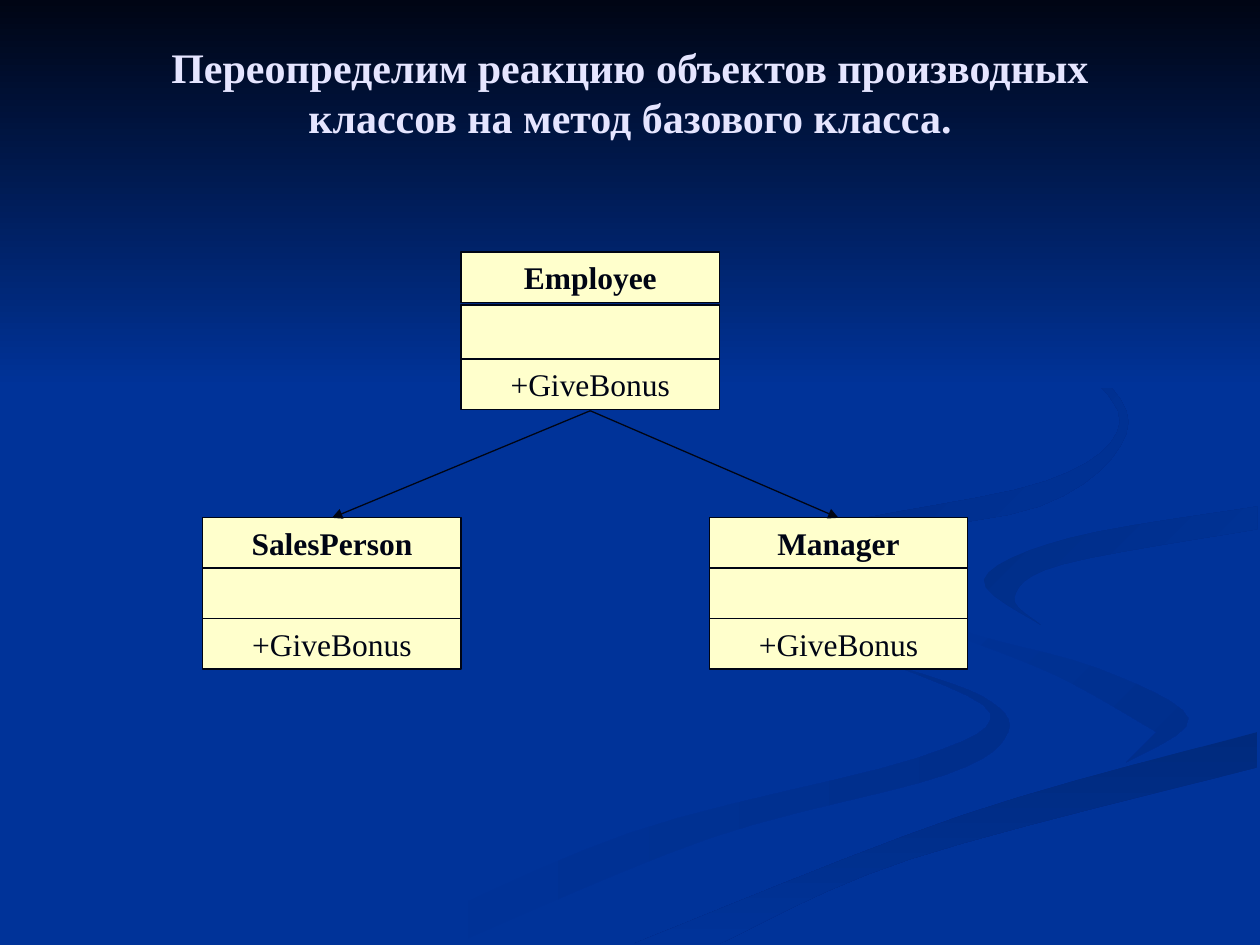
from lxml import etree
from pptx import Presentation
from pptx.dml.color import RGBColor
from pptx.enum.shapes import MSO_CONNECTOR as Conn, MSO_SHAPE as Shape
from pptx.enum.text import MSO_ANCHOR as Anchor, MSO_AUTO_SIZE as AutoSize, PP_ALIGN as Align
from pptx.oxml.ns import qn
from pptx.util import Inches, Pt

FONT = "Times New Roman"
BLUE, INK, CREAM, LILAC = "003399", "000514", "FFFFCC", "E5E5FF"
BOX_W, ROW_H, ATTR_H = 2.05, 0.4, 0.44
CURVE_STEPS = 6

RIBBONS = [
    ([(7.1, 5.28), (7.8, 5.53), (8, 5.81), (7.5, 6.15), (5.64, 6.65), (3.61, 7.49)],
     [(3, 7.49), (5, 6.61), (7.27, 6.02), (7.86, 5.66), (7.1, 5.28)],
     (BLUE, "002E8B", 0)),
    ([(7.24, 4.64), (7.58, 4.98), (8.7, 5.3), (9.43, 5.7), (8.94, 6.05)],
     [(9.18, 5.81), (8.38, 5.36), (7.46, 5)],
     (BLUE, "002E8B", 45)),
    ([(5.71, 7.49), (7.22, 6.82), (9.98, 6.09)],
     [(9.98, 5.81), (7.64, 6.47), (5.03, 7.49)],
     ("002A7D", BLUE, 90)),
    ([(8.26, 4.96), (7.81, 4.6), (8.49, 4.27), (9.98, 4.02)],
     [(9.98, 4.2), (8.43, 4.48), (8.05, 4.74), (8.26, 4.96)],
     ("002D86", BLUE, 45)),
    ([(7.62, 2.33), (8.64, 2.91), (8.94, 3.44), (8.25, 4.02), (6.49, 4.36), (6.22, 5)],
     [(5.77, 4.62), (6.49, 4.2), (8.3, 3.82), (8.89, 3.35), (8.46, 2.79)],
     ("002B82", BLUE, 45)),
]


def color(value):
    return RGBColor.from_string(value)


def set_attrs(obj, values):
    for name, value in values.items():
        setattr(obj, name, value)


def write(tf, text, size, hex_color, bold, anchor):
    set_attrs(tf, dict(text=text, word_wrap=True, auto_size=AutoSize.NONE,
                       vertical_anchor=anchor))
    p = tf.paragraphs[0]
    p.alignment = Align.CENTER
    font = p.runs[0].font
    set_attrs(font, dict(name=FONT, size=Pt(size), bold=bold))
    font.color.rgb = color(hex_color)


def blend(a, b, c, d, t):
    return (2 * b + (c - a) * t + (2 * a - 5 * b + 4 * c - d) * t ** 2
            + (3 * b - a - 3 * c + d) * t ** 3) / 2


def smooth(points):
    padded = [points[0], *points, points[-1]]
    curve = [tuple(blend(*axis, i / CURVE_STEPS) for axis in zip(*quad))
             for quad in zip(padded, padded[1:], padded[2:], padded[3:])
             for i in range(CURVE_STEPS)]
    return curve + [points[-1]]


def fill_gradient(sp, start, end, angle):
    sp.shadow.inherit = False
    sp.line.fill.background()
    sp.fill.gradient()
    sp.fill.gradient_angle = 360 - angle
    for stop, value in zip(sp.fill.gradient_stops, (start, end)):
        stop.color.rgb = color(value)


def add_ribbon(s, outer, inner, gradient):
    pts = [(Inches(x), Inches(y)) for x, y in smooth(outer) + smooth(inner)]
    builder = s.shapes.build_freeform(*pts[0])
    builder.add_line_segments(pts[1:])
    fill_gradient(builder.convert_to_shape(), *gradient)


def add_backdrop(s, width, shade_height):
    s.background.fill.solid()
    s.background.fill.fore_color.rgb = color(BLUE)
    for ribbon in RIBBONS:
        add_ribbon(s, *ribbon)
    shade = s.shapes.add_shape(Shape.RECTANGLE, 0, 0, Inches(width), Inches(shade_height))
    fill_gradient(shade, INK, BLUE, 90)


def add_title(s, left, top, width, height, text):
    title = s.shapes.title
    set_attrs(title, dict(left=Inches(left), top=Inches(top),
                          width=Inches(width), height=Inches(height)))
    write(title.text_frame, text, 24, LILAC, True, Anchor.TOP)
    s.shapes._spTree.append(title._element)


def add_row(s, left, top, height, text="", bold=False):
    sp = s.shapes.add_shape(Shape.RECTANGLE, Inches(left), Inches(top),
                            Inches(BOX_W), Inches(height))
    sp.shadow.inherit = False
    sp.fill.solid()
    sp.fill.fore_color.rgb = color(CREAM)
    sp.line.color.rgb = color(INK)
    sp.line.width = Pt(0.75)
    if text:
        write(sp.text_frame, text, 18, INK, bold, Anchor.MIDDLE)


def add_class(s, left, top, name, attr_dy=0.38, method_dy=0.8):
    add_row(s, left, top + attr_dy, ATTR_H)
    add_row(s, left, top, ROW_H, name, True)
    add_row(s, left, top + method_dy, ROW_H, "+GiveBonus")


def add_arrow(s, x1, y1, x2, y2):
    c = s.shapes.add_connector(Conn.STRAIGHT, *map(Inches, (x1, y1, x2, y2)))
    c.line.color.rgb = color(INK)
    c.line.width = Pt(0.75)
    etree.SubElement(c.line._get_or_add_ln(), qn("a:tailEnd"), type="triangle")
    etree.SubElement(c._element.spPr, qn("a:effectLst"))


def add_hierarchy(s, left, top):
    base_x, child_y = left + BOX_W, top + 2.11
    add_class(s, base_x, top, "Employee", 0.42, 0.85)
    children = [(left, "SalesPerson"), (left + 4.02, "Manager")]
    for x, name in children:
        add_class(s, x, child_y, name)
    for x, _ in children:
        add_arrow(s, base_x + BOX_W / 2, top + 1.26, x + BOX_W / 2, child_y)


def main():
    prs = Presentation()
    set_attrs(prs, dict(slide_width=Inches(10), slide_height=Inches(7.5)))
    s = prs.slides.add_slide(prs.slide_layouts[5])
    add_backdrop(s, 10, 3.08)
    add_hierarchy(s, 1.61, 2)
    add_title(s, 0.75, 0.28, 8.5, 1.3,
              "Переопределим реакцию объектов производных классов на метод базового класса.")
    prs.save("out.pptx")


if __name__ == "__main__":
    main()
